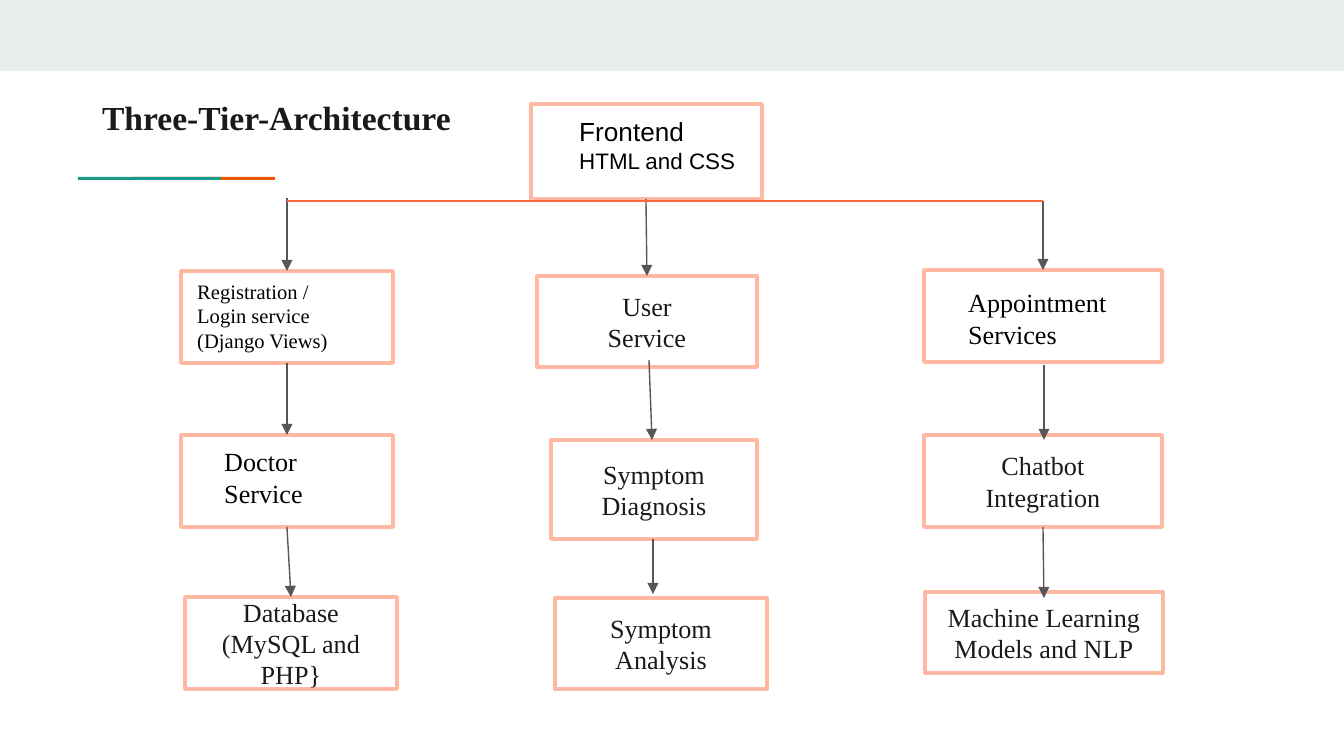
from lxml import etree
from pptx import Presentation
from pptx.dml.color import RGBColor
from pptx.enum.shapes import MSO_CONNECTOR, MSO_SHAPE
from pptx.enum.text import MSO_ANCHOR, MSO_AUTO_SIZE, PP_ALIGN
from pptx.oxml.ns import qn
from pptx.util import Pt

RECTANGLE = MSO_SHAPE.RECTANGLE
STRAIGHT = MSO_CONNECTOR.STRAIGHT
TOP, MIDDLE = MSO_ANCHOR.TOP, MSO_ANCHOR.MIDDLE
LEFT, CENTER = PP_ALIGN.LEFT, PP_ALIGN.CENTER
NO_FIT = MSO_AUTO_SIZE.NONE

WHITE = RGBColor(0xFF, 0xFF, 0xFF)
BLACK = RGBColor(0x00, 0x00, 0x00)
INK = RGBColor(0x1A, 0x1A, 0x1A)
BAND = RGBColor(0xE9, 0xED, 0xEE)
TEAL = RGBColor(0x1A, 0x99, 0x88)
ORANGE = RGBColor(0xEB, 0x56, 0x00)
PEACH = RGBColor(0xFF, 0xB8, 0xA2)
CORAL = RGBColor(0xFF, 0x68, 0x3A)
GRAY = RGBColor(0x57, 0x57, 0x57)
SERIF, SANS = "Times New Roman", "Arial"
PX = 914400 / 134.4


def px(*lengths):
    return [round(length * PX) for length in lengths]


def write(frame, text, sizes=(14,), font=SERIF, color=INK, bold=False,
          align=LEFT, anchor=TOP, spacing=1.0):
    frame.word_wrap = True
    frame.auto_size = NO_FIT
    frame.vertical_anchor = anchor
    for index, line in enumerate(text.split("\n")):
        paragraph = frame.add_paragraph() if index else frame.paragraphs[0]
        paragraph.alignment = align
        paragraph.line_spacing = spacing
        run = paragraph.add_run()
        run.text = line
        run.font.size = Pt(sizes[min(index, len(sizes) - 1)])
        run.font.name = font
        run.font.bold = bold
        run.font.color.rgb = color


deck = Presentation()
deck.slide_width, deck.slide_height = px(1344, 756)
slide = deck.slides.add_slide(deck.slide_layouts[5])
shapes = slide.shapes

title = shapes.title
title.left, title.top, title.width, title.height = px(89, 78, 1130, 79)
heading = title.text_frame
heading.margin_left, heading.margin_top, heading.margin_right, heading.margin_bottom = px(13, 13, 13, 13)
write(heading, "Three-Tier-Architecture", sizes=(18,), bold=True, spacing=1.15)

for area, color in [
    ((0, 0, 1344, 71), BAND),
    ((133, 177, 142, 3), ORANGE),
    ((78, 177, 143, 3), TEAL),
]:
    stripe = shapes.add_shape(RECTANGLE, *px(*area))
    stripe.shadow.inherit = False
    stripe.fill.solid()
    stripe.fill.fore_color.rgb = color
    stripe.line.fill.background()

for area, text in [
    ((531, 104, 231, 95), ""),
    ((181, 271, 212, 92), ""),
    ((537, 276, 220, 91), "User\nService"),
    ((924, 270, 238, 92), ""),
    ((181, 435, 212, 92), ""),
    ((551, 440, 206, 99), "Symptom\nDiagnosis"),
    ((924, 435, 238, 92), "Chatbot\nIntegration"),
    ((185, 597, 212, 92), "Database\n(MySQL and PHP}"),
    ((555, 598, 212, 91), "Symptom\nAnalysis"),
    ((925, 592, 238, 81), "Machine Learning\nModels and NLP"),
]:
    tier = shapes.add_shape(RECTANGLE, *px(*area))
    tier.shadow.inherit = False
    tier.fill.solid()
    tier.fill.fore_color.rgb = WHITE
    tier.line.color.rgb = PEACH
    tier.line.width = Pt(2)
    if text:
        write(tier.text_frame, text, align=CENTER, anchor=MIDDLE)

for ends, color in [
    ((287, 198, 287, 271), GRAY),
    ((646, 199, 647, 276), GRAY),
    ((1043, 201, 1043, 270), GRAY),
    ((287, 363, 287, 435), GRAY),
    ((649, 360, 652, 440), GRAY),
    ((1044, 365, 1044, 440), GRAY),
    ((287, 527, 291, 597), GRAY),
    ((653, 539, 653, 594), GRAY),
    ((1043, 527, 1044, 598), GRAY),
    ((287, 201, 1043, 201), CORAL),
]:
    link = shapes.add_connector(STRAIGHT, *px(*ends))
    link.line.color.rgb = color
    link.line.width = Pt(0.75)
    if color == GRAY:
        etree.SubElement(link.line._get_or_add_ln(), qn("a:tailEnd"), type="triangle")
    etree.SubElement(link._element.spPr, qn("a:effectLst"))

for area, text, sizes, font in [
    ((566, 109, 192, 73), "Frontend\nHTML and CSS", (14, 12), SANS),
    ((184, 272, 208, 89), "Registration /\nLogin service\n(Django Views)", (11,), SERIF),
    ((955, 280, 188, 77), "Appointment\nServices", (14,), SERIF),
    ((211, 439, 159, 77), "Doctor\nService", (14,), SERIF),
]:
    label = shapes.add_textbox(*px(*area))
    write(label.text_frame, text, sizes=sizes, font=font, color=BLACK)

deck.save("out.pptx")
